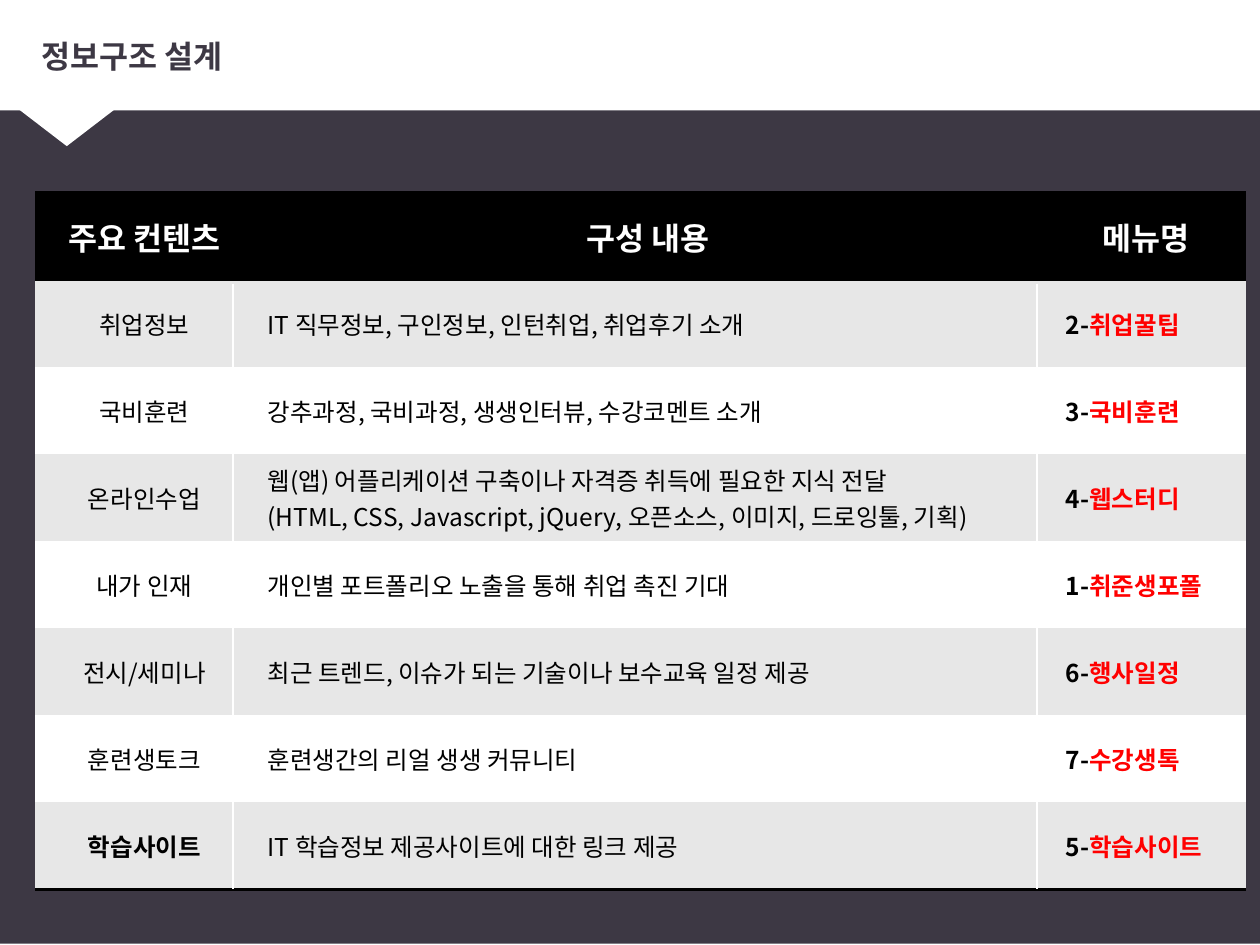
"""Builds the information architecture slide with its content table."""
from typing import NamedTuple

from lxml import etree
from pptx import Presentation
from pptx.dml.color import RGBColor
from pptx.enum import shapes, text
from pptx.oxml import ns
from pptx.util import Pt

FONT = "Noto Sans CJK KR"
DARK, WHITE, BLACK, GREY, RED = "3D3844", "FFFFFF", "000000", "E7E7E7", "FF0000"
NO_STYLE = "{2D5ABB26-0587-4C30-8999-92F81FD0307C}"
LEFT, TOP, ROW_HEIGHT = 20.2, 110.2, 49.75
COLUMNS = (122.4, 452.9, 116.6)
HEADINGS = ("주요 컨텐츠", "구성 내용", "메뉴명")


class Backdrop(NamedTuple):
    kind: shapes.MSO_SHAPE
    left: float
    top: float
    width: float
    height: float
    color: str
    rotation: float = 0


class Content(NamedTuple):
    name: str
    details: tuple
    number: int
    menu: str
    bold: bool = False


BACKDROPS = (
    Backdrop(shapes.MSO_SHAPE.RECTANGLE, 0, -0.7, 730, 540, DARK),
    Backdrop(shapes.MSO_SHAPE.RECTANGLE, -2, -1.4, 732, 64.5, WHITE),
    Backdrop(shapes.MSO_SHAPE.ISOSCELES_TRIANGLE, -14.4, 43.2, 105.1, 40.3, WHITE, 180),
)
CONTENTS = (
    Content("취업정보", ("IT 직무정보, 구인정보, 인턴취업, 취업후기 소개",), 2, "취업꿀팁"),
    Content("국비훈련", ("강추과정, 국비과정, 생생인터뷰, 수강코멘트 소개",), 3, "국비훈련"),
    Content("온라인수업", ("웹(앱) 어플리케이션 구축이나 자격증 취득에 필요한 지식 전달",
                      "(HTML, CSS, Javascript, jQuery, 오픈소스, 이미지, 드로잉툴, 기획)"),
            4, "웹스터디"),
    Content("내가 인재", ("개인별 포트폴리오 노출을 통해 취업 촉진 기대",), 1, "취준생포폴"),
    Content("전시/세미나", ("최근 트렌드, 이슈가 되는 기술이나 보수교육 일정 제공",), 6, "행사일정"),
    Content("훈련생토크", ("훈련생간의 리얼 생생 커뮤니티",), 7, "수강생톡"),
    Content("학습사이트", ("IT 학습정보 제공사이트에 대한 링크 제공",), 5, "학습사이트", True),
)


def paint(target, color: str) -> None:
    """Give a fill a solid colour."""
    target.solid()
    target.fore_color.rgb = RGBColor.from_string(color)


def style(para, size: float, color: str, bold: bool = False, centred: bool = False) -> None:
    """Set the font and alignment of a paragraph."""
    font = para.font
    font.size, font.bold, font.name = Pt(size), bold, FONT
    paint(font.fill, color)
    etree.SubElement(font._element, ns.qn("a:ea"), typeface=FONT)
    para.alignment = text.PP_ALIGN.CENTER if centred else text.PP_ALIGN.LEFT


def add_backdrop(page, backdrop: Backdrop) -> None:
    """Draw one plain background shape."""
    box = page.shapes.add_shape(backdrop.kind, *map(Pt, backdrop[1:5]))
    box.rotation = backdrop.rotation
    box.shadow.inherit = False
    paint(box.fill, backdrop.color)
    box.line.fill.background()


def add_title(page, wording: str) -> None:
    """Place the title in front of the backdrops."""
    box = page.shapes.title
    box.left, box.top, box.width, box.height = map(Pt, (16.6, 9.4, 711.4, 44.6))
    frame = box.text_frame
    frame.text = wording
    frame.auto_size = text.MSO_AUTO_SIZE.NONE
    frame.vertical_anchor = text.MSO_ANCHOR.MIDDLE
    style(frame.paragraphs[0], 18, DARK, True)
    page.shapes._spTree.append(box._element)


def format_cell(cell, color: str, edges: str, indent: float = 7.2) -> None:
    """Set the fill, the black edges and the left margin of a cell."""
    cell.vertical_anchor = text.MSO_ANCHOR.MIDDLE
    cell.margin_left, cell.margin_right = Pt(indent), Pt(5)
    properties = cell._tc.get_or_add_tcPr()
    for edge in edges:
        line = etree.SubElement(properties, ns.qn(f"a:ln{edge}"), w=str(Pt(2)))
        solid = etree.SubElement(line, ns.qn("a:solidFill"))
        etree.SubElement(solid, ns.qn("a:srgbClr"), val=BLACK)
    paint(cell.fill, color)


def fill_row(cells, content: Content, color: str, edges: str) -> None:
    """Write one content row of the table."""
    name, detail, menu = cells
    for cell, indent in zip(cells, (7.2, 10.3, 13.5)):
        format_cell(cell, color, edges, indent)
    name.text_frame.text = content.name
    style(name.text_frame.paragraphs[0], 14, BLACK, content.bold, True)
    detail.text_frame.text = "\n".join(content.details)
    for para in detail.text_frame.paragraphs:
        style(para, 14, BLACK)
    para = menu.text_frame.paragraphs[0]
    style(para, 14, BLACK, True)
    para.add_run().text = f"{content.number}-"
    span = para.add_run()
    span.text = content.menu
    paint(span.font.fill, RED)


def add_content_table(page) -> None:
    """Draw the table with its heading row and banded contents."""
    count = len(CONTENTS) + 1
    frame = page.shapes.add_table(count, len(COLUMNS), Pt(LEFT), Pt(TOP),
                                  Pt(sum(COLUMNS)), Pt(ROW_HEIGHT * count))
    table = frame.table
    table._tbl.tblPr.find(ns.qn("a:tableStyleId")).text = NO_STYLE
    for column, width in zip(table.columns, COLUMNS):
        column.width = Pt(width)
    for row in table.rows:
        row.height = Pt(ROW_HEIGHT)
    for cell, heading in zip(table.rows[0].cells, HEADINGS):
        format_cell(cell, BLACK, "TB")
        cell.text_frame.text = heading
        style(cell.text_frame.paragraphs[0], 18, WHITE, True, True)
    for index, content in enumerate(CONTENTS, 1):
        fill_row(tuple(table.rows[index].cells), content,
                 GREY if index % 2 else WHITE, "B" if index == len(CONTENTS) else "")


def add_divider(page, x: float) -> None:
    """Draw a white line between two columns."""
    line = page.shapes.add_connector(shapes.MSO_CONNECTOR.STRAIGHT,
                                     Pt(x), Pt(162), Pt(x), Pt(508.3))
    line.line.width = Pt(0.75)
    paint(line.line.fill, WHITE)
    etree.SubElement(line._element.spPr, ns.qn("a:effectLst"))


def main() -> None:
    """Build and save the slide."""
    deck = Presentation()
    deck.slide_width, deck.slide_height = Pt(720), Pt(540)
    page = deck.slides.add_slide(deck.slide_layouts[5])
    for backdrop in BACKDROPS:
        add_backdrop(page, backdrop)
    add_title(page, "정보구조 설계")
    add_content_table(page)
    for x in (133.2, 592.5):
        add_divider(page, x)
    deck.save("out.pptx")


main()
